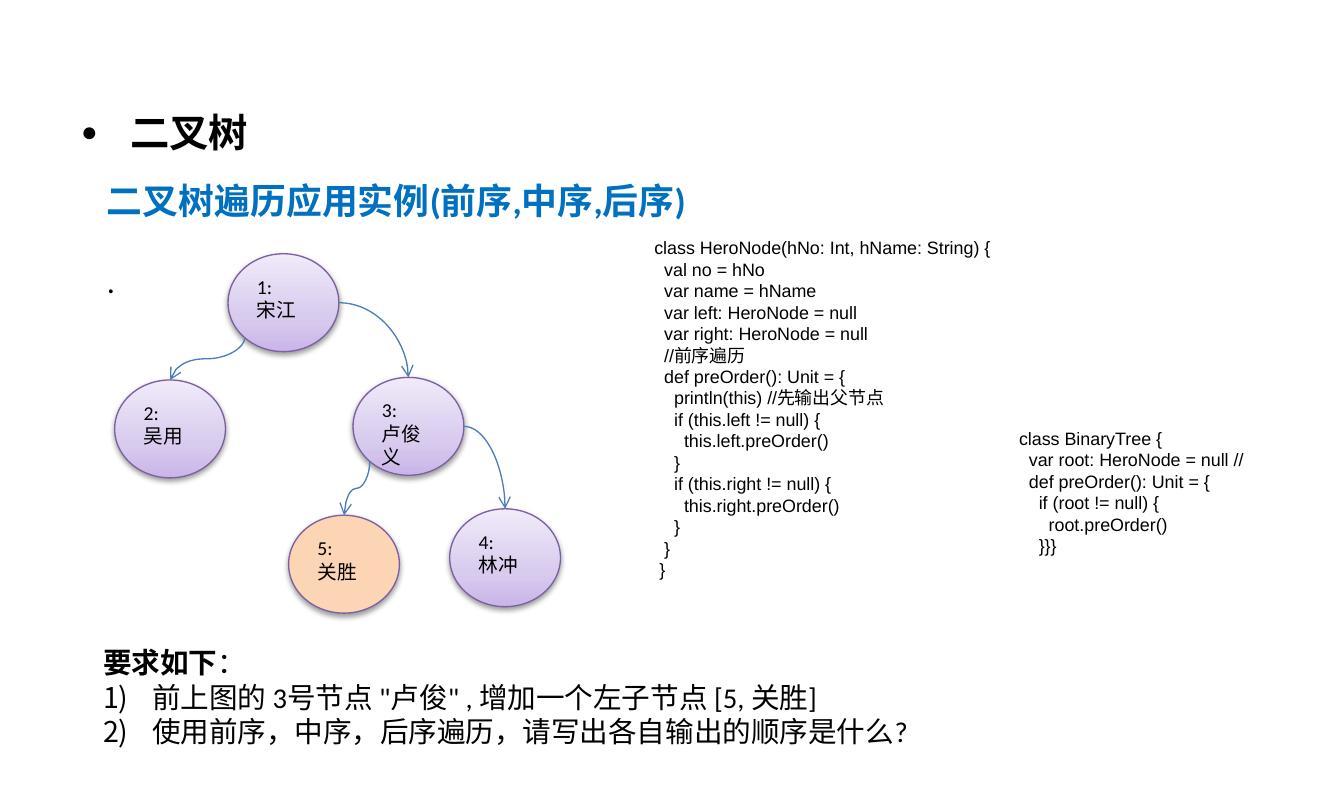
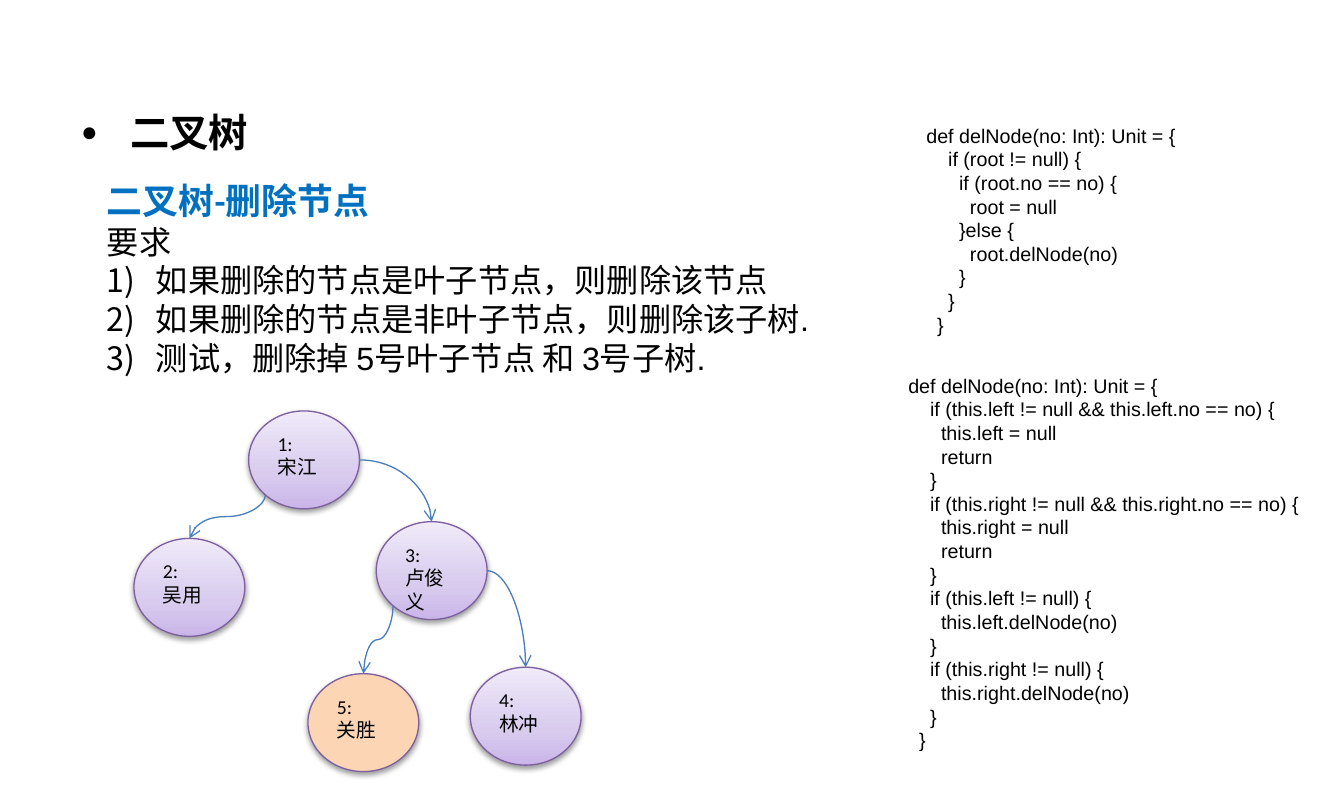
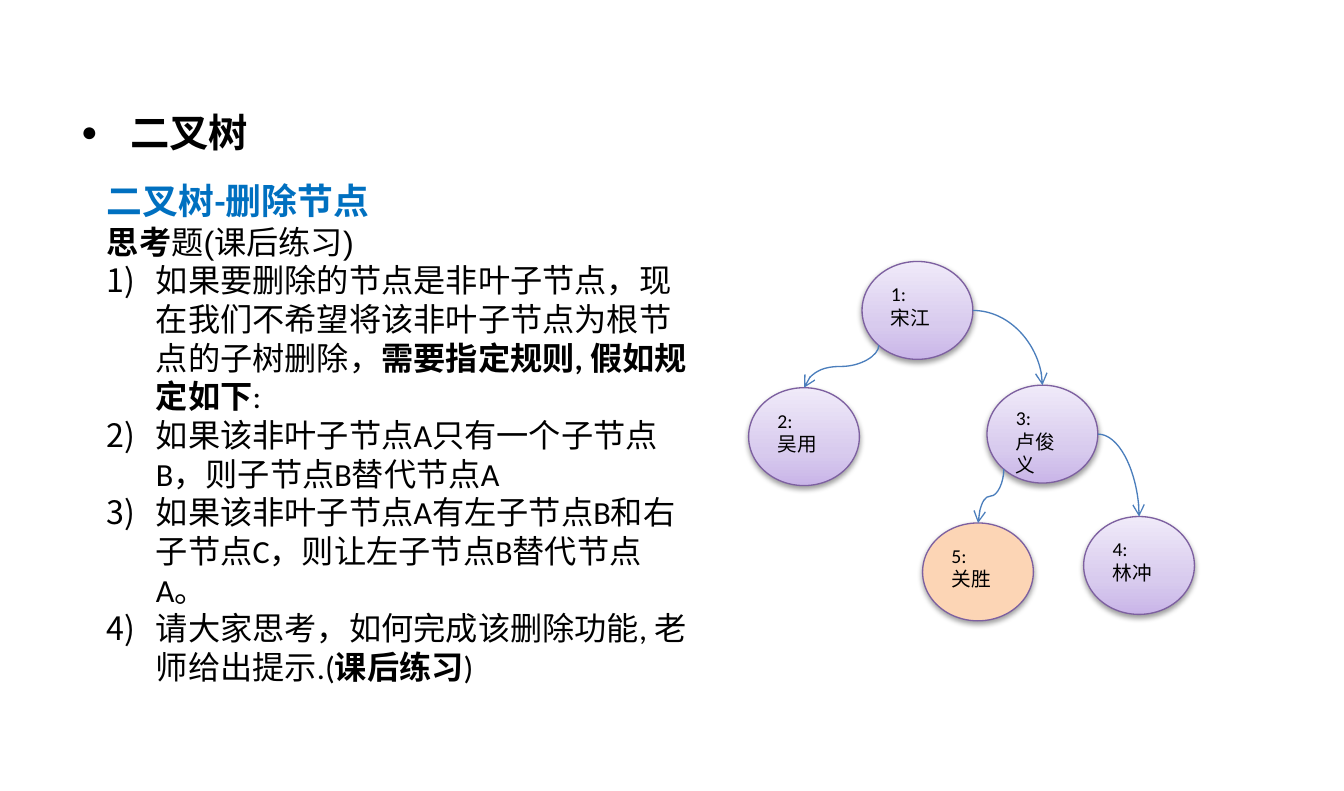
from lxml import etree
from pptx import Presentation
from pptx.dml.color import RGBColor
from pptx.enum.shapes import MSO_CONNECTOR, MSO_SHAPE
from pptx.enum.text import MSO_ANCHOR, MSO_AUTO_SIZE, PP_ALIGN
from pptx.oxml import parse_xml
from pptx.oxml.ns import nsdecls, qn
from pptx.util import Emu, Pt

EMU_PER_PX = 9144

BULLETS = {
    "none": ["<a:buNone {}/>"],
    "dot": [
        '<a:buClr {}><a:srgbClr val="000000"/></a:buClr>',
        '<a:buSzPct {} val="70000"/>',
        '<a:buFont {} typeface="Arial"/>',
        '<a:buChar {} char="●"/>',
    ],
    "number": [
        '<a:buFont {} typeface="+mj-ea"/>',
        '<a:buAutoNum {} type="arabicParenR"/>',
    ],
}

HERO_NODE = """class HeroNode(hNo: Int, hName: String) {
  val no = hNo
  var name = hName
  var left: HeroNode = null
  var right: HeroNode = null
  //前序遍历
  def preOrder(): Unit = {
    println(this) //先输出父节点
    if (this.left != null) {
      this.left.preOrder()
    }
    if (this.right != null) {
      this.right.preOrder()
    }
  }
 }"""

BINARY_TREE = """class BinaryTree {
  var root: HeroNode = null //
  def preOrder(): Unit = {
    if (root != null) {
      root.preOrder()
    }}}"""

NODE_DELETE = """def delNode(no: Int): Unit = {
    if (this.left != null && this.left.no == no) {
      this.left = null
      return
    }
    if (this.right != null && this.right.no == no) {
      this.right = null
      return
    }
    if (this.left != null) {
      this.left.delNode(no)
    }
    if (this.right != null) {
      this.right.delNode(no)
    }
  }"""

TREE_DELETE = """def delNode(no: Int): Unit = {
    if (root != null) {
      if (root.no == no) {
        root = null
      }else {
        root.delNode(no)
      }
    }
  }"""


def px(n):
    return Emu(round(n * EMU_PER_PX))


def color(value):
    return RGBColor.from_string(value)


def xml(template):
    return parse_xml(template.replace("{}", nsdecls("a"), 1))


def write(tf, text, size=18, font="Calibri", fill="000000", bold=False,
          bullet="none", before=0, line=None):
    p = tf.paragraphs[0]
    if p.runs:
        p = tf.add_paragraph()
    pPr = p._p.get_or_add_pPr()
    indent = 0 if bullet == "none" else px(38)
    pPr.set("marL", str(indent))
    pPr.set("indent", str(-indent))
    for element in BULLETS[bullet]:
        pPr.append(xml(element))
    p.alignment = PP_ALIGN.LEFT
    p.space_before = Pt(before)
    if line:
        p.line_spacing = line
    runs = [(text, {})] if isinstance(text, str) else text
    for words, change in runs:
        r = p.add_run()
        r.text = words
        r.font.size = Pt(size)
        r.font.name = change.get("font", font)
        r.font.bold = change.get("bold", bold)
        r.font.color.rgb = color(fill)


class Deck:
    BLUE = "0070C0"
    NODE_LINE = "7D60A0"
    ARROW = "4B7EBC"
    ADDED = "FCD5B5"
    STOPS = [(0, "C9B5E8"), (35, "D8CBEE"), (100, "F0EAF9")]
    NODE_W, NODE_H = 86, 76
    NAMES = ["宋江", "吴用", "卢俊义", "林冲", "关胜"]

    def __init__(self):
        self.prs = Presentation()
        self.prs.slide_width = px(1043)
        self.prs.slide_height = px(614)
        self.s = None

    def slide(self, layout, subtitle, width, height):
        self.s = self.prs.slides.add_slide(self.prs.slide_layouts[layout])
        tf = self.frame(0, 53, 83, 830, 43)
        write(tf, "二叉树", size=22, font="Arial", bold=True, bullet="dot", line=0.9)
        tf = self.frame(1, 73, 134, width, height)
        write(tf, subtitle, size=20, fill=self.BLUE, bold=True)
        return tf

    def frame(self, idx, x, y, w, h):
        sp = self.s.placeholders[idx]
        sp.left, sp.top, sp.width, sp.height = px(x), px(y), px(w), px(h)
        tf = sp.text_frame
        tf.auto_size = MSO_AUTO_SIZE.NONE
        tf.vertical_anchor = MSO_ANCHOR.TOP
        tf.word_wrap = True
        return tf

    def code(self, text, x, y, w, h, size):
        tf = self.s.shapes.add_textbox(px(x), px(y), px(w), px(h)).text_frame
        tf.word_wrap = False
        tf.auto_size = MSO_AUTO_SIZE.SHAPE_TO_FIT_TEXT
        for row in text.split("\n"):
            write(tf, row, size=size, font="Arial", line=Pt(size * 1.2))

    def node(self, number, name, x, y, added):
        sp = self.s.shapes.add_shape(
            MSO_SHAPE.OVAL, px(x), px(y), px(self.NODE_W), px(self.NODE_H))
        if added:
            sp.fill.solid()
            sp.fill.fore_color.rgb = color(self.ADDED)
        else:
            stops = "".join(
                f'<a:gs pos="{pos * 1000}"><a:srgbClr val="{value}"/></a:gs>'
                for pos, value in self.STOPS)
            sp._element.spPr.find(qn("a:prstGeom")).addnext(xml(
                f'<a:gradFill {{}} rotWithShape="1"><a:gsLst>{stops}</a:gsLst>'
                '<a:lin ang="16200000" scaled="0"/></a:gradFill>'))
        sp.line.color.rgb = color(self.NODE_LINE)
        sp.line.width = Pt(0.75)
        sp.shadow.inherit = False
        sp._element.spPr.find(qn("a:effectLst")).append(xml(
            '<a:outerShdw {} blurRad="40000" dist="20000" dir="5400000" rotWithShape="0">'
            '<a:srgbClr val="000000"><a:alpha val="38000"/></a:srgbClr></a:outerShdw>'))
        tf = sp.text_frame
        tf.word_wrap = True
        tf.vertical_anchor = MSO_ANCHOR.TOP
        for text in (f"{number}:", name):
            write(tf, text, size=11)

    def arrow(self, parent, child, left_side):
        x, y = parent
        x2, y2 = child[0] + self.NODE_W / 2, child[1]
        if left_side:
            x1, y1 = x + 13, y + 65
            w, h = y2 - y1, x1 - x2
            left, top = (x1 + x2 - w) / 2, (y1 + y2 - h) / 2
        else:
            left, top = x + self.NODE_W, y + self.NODE_H / 2
            w, h = x2 - left, y2 - top
        c = self.s.shapes.add_connector(
            MSO_CONNECTOR.CURVE, px(left), px(top), px(left + w), px(top + h))
        c.line.color.rgb = color(self.ARROW)
        c.line.width = Pt(0.75)
        spPr = c._element.spPr
        if left_side:
            spPr.find(qn("a:xfrm")).set("rot", "5400000")
        else:
            spPr.find(qn("a:prstGeom")).set("prst", "curvedConnector2")
        etree.SubElement(spPr.find(qn("a:ln")), qn("a:tailEnd"), type="arrow")
        etree.SubElement(spPr, qn("a:effectLst"))

    def tree(self, spots):
        for i, (name, (x, y)) in enumerate(zip(self.NAMES, spots), 1):
            self.node(i, name, x, y, added=i == 5)
        song, wu, lu, lin, guan = spots
        self.arrow(song, wu, True)
        self.arrow(song, lu, False)
        self.arrow(lu, guan, True)
        self.arrow(lu, lin, False)


def main():
    deck = Deck()
    spots = [(177, 197), (89, 295), (274, 293), (349, 395), (224, 400)]

    tf = deck.slide(3, "二叉树遍历应用实例(前序,中序,后序)", 890, 347)
    write(tf, ".", before=22)
    tf = deck.frame(2, 70, 496, 893, 91)
    write(tf, [("要求如下", {"bold": True}), ("：", {})], size=16)
    for text in ('前上图的 3号节点 "卢俊" , 增加一个左子节点 [5, 关胜]',
                 "使用前序，中序，后序遍历，请写出各自输出的顺序是什么?"):
        write(tf, text, size=16, bullet="number")
    deck.tree(spots)
    deck.code(HERO_NODE, 498, 179, 283, 279, 10)
    deck.code(BINARY_TREE, 781, 327, 196, 111, 10)

    tf = deck.slide(1, "二叉树-删除节点", 890, 377)
    write(tf, "要求", font="Arial")
    for text in ("如果删除的节点是叶子节点，则删除该节点",
                 "如果删除的节点是非叶子节点，则删除该子树.",
                 "测试，删除掉 5号叶子节点 和 3号子树."):
        write(tf, text, font="Arial", bullet="number")
    deck.tree([(193, 319), (104, 418), (292, 405), (365, 518), (239, 523)])
    deck.code(NODE_DELETE, 695, 285, 325, 306, 11)
    deck.code(TREE_DELETE, 709, 91, 215, 177, 11)

    tf = deck.slide(1, "二叉树-删除节点", 472, 438)
    write(tf, [("思考", {"bold": True}), ("题(课后练习)", {})], font="Arial")
    for text in (
        [("如果", {"font": "Arial"}),
         ("要删除的节点是非叶子节点，现在我们不希望将该非叶子节点为根节点的子树删除，", {}),
         ("需要指定规则, 假如规定如下", {"bold": True}), (":", {})],
        "如果该非叶子节点A只有一个子节点B，则子节点B替代节点A",
        "如果该非叶子节点A有左子节点B和右子节点C，则让左子节点B替代节点A。",
        [("请大家思考，如何完成该删除功能, 老师给出提示.(", {}),
         ("课后练习", {"bold": True}), (")", {})],
    ):
        write(tf, text, bullet="number")
    deck.tree([(x + 492, y + 6) for x, y in spots])

    deck.prs.save("out.pptx")


if __name__ == "__main__":
    main()
